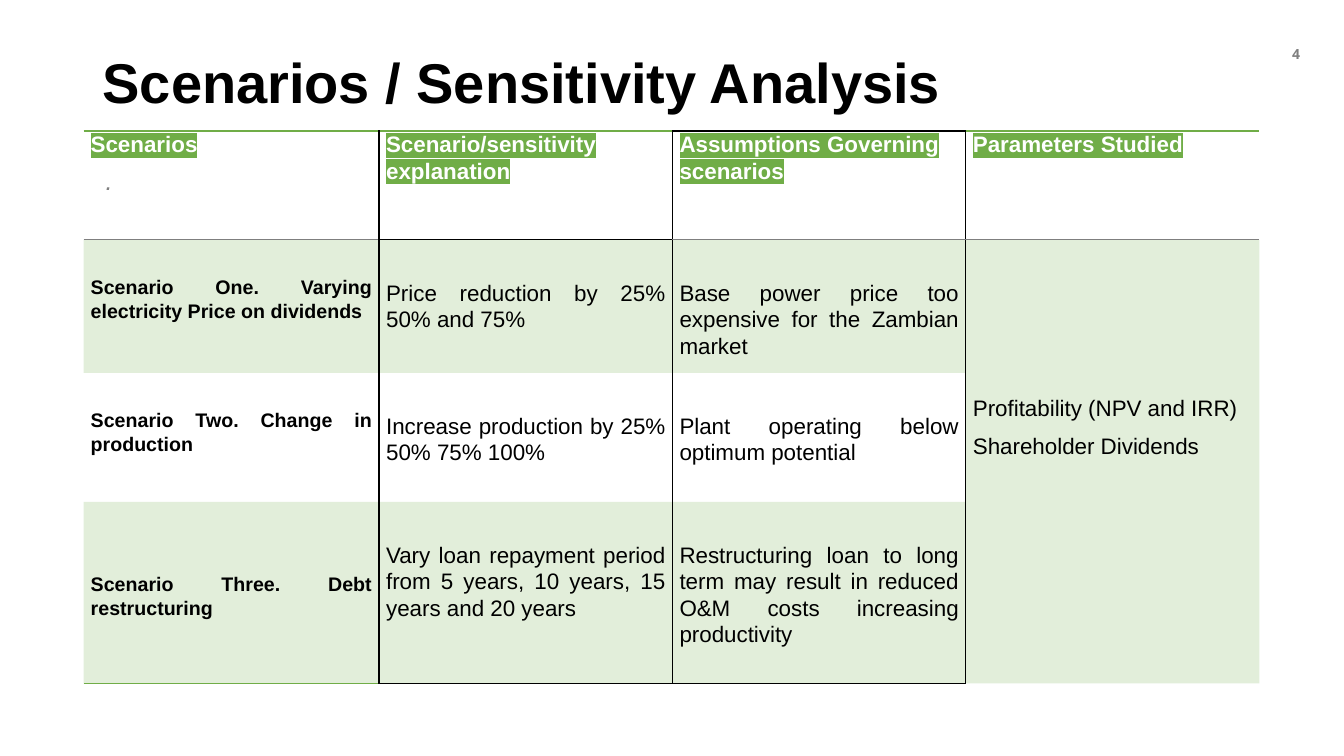
"""Build the scenario and sensitivity analysis slide."""
from dataclasses import dataclass

from lxml import etree
from pptx import Presentation
from pptx import util as u
from pptx.dml.color import RGBColor
from pptx.enum import text
from pptx.oxml import ns

BLACK = RGBColor(0x00, 0x00, 0x00)
WHITE = RGBColor(0xFF, 0xFF, 0xFF)
GREY = RGBColor(0x7F, 0x7F, 0x7F)
GREEN = RGBColor(0x70, 0xAD, 0x47)
PLAIN_TABLE_STYLE = "{2D5ABB26-0587-4C30-8999-92F81FD0307C}"
COLUMN_WIDTHS = (2.93, 2.91, 2.91, 2.91)
ROW_HEIGHTS = (1.08, 1.32, 1.28, 1.8)
TOP_EDGE = (GREEN, GREEN, BLACK, GREEN)
HEADER_EDGE = (GREY, BLACK, GREY, GREY)
BOTTOM_EDGE = (GREEN, BLACK, BLACK, GREEN)


@dataclass(frozen=True)
class Style:
    size: float
    color: RGBColor = BLACK
    bold: bool = False
    italic: bool = False
    face: str = "Arial"
    align: text.PP_ALIGN = text.PP_ALIGN.LEFT
    spacing: float = 1.0
    after: float = 0


@dataclass(frozen=True)
class Label:
    words: str
    left: float
    top: float
    width: float
    height: float
    style: Style
    anchor: text.MSO_ANCHOR = text.MSO_ANCHOR.TOP


@dataclass(frozen=True)
class Entry:
    lines: tuple[str, ...]
    style: Style
    drop: float = 0
    highlighted: bool = False


LABELS = (
    Label("4", 12.62, 0.4, 0.47, 0.4,
          Style(10, GREY, bold=True, face="Open Sans", align=text.PP_ALIGN.CENTER)),
    Label("Scenarios / Sensitivity Analysis", 0.92, 0.4, 11.5, 0.9,
          Style(40, bold=True, spacing=0.9), text.MSO_ANCHOR.MIDDLE),
    Label(".", 0.95, 1.62, 11.38, 0.5, Style(18, GREY, italic=True, spacing=0.9)),
)
HEADING = Style(16, WHITE, bold=True, spacing=1.07, after=8)
SCENARIO = Style(14, bold=True, align=text.PP_ALIGN.JUSTIFY, spacing=1.07, after=8)
DETAIL = Style(16, align=text.PP_ALIGN.JUSTIFY, spacing=1.07, after=8)


def heading(words: str) -> Entry:
    return Entry((words,), HEADING, highlighted=True)


def scenario(words: str, drop: float = 0.35) -> Entry:
    return Entry((words,), SCENARIO, drop)


def detail(*lines: str, drop: float = 0.39) -> Entry:
    return Entry(lines, DETAIL, drop)


ENTRIES = (
    (heading("Scenarios"), heading("Scenario/sensitivity explanation"),
     heading("Assumptions Governing scenarios"), heading("Parameters Studied")),
    (scenario("Scenario One. Varying electricity Price on dividends"),
     detail("Price reduction by 25% 50% and 75%"),
     detail("Base power price too expensive for the Zambian market"),
     detail("Profitability (NPV and IRR)", "Shareholder Dividends", drop=1.54)),
    (scenario("Scenario Two. Change in production"),
     detail("Increase production by 25% 50% 75% 100%"),
     detail("Plant operating below optimum potential")),
    (scenario("Scenario Three. Debt restructuring", drop=0.7),
     detail("Vary loan repayment period from 5 years, 10 years, 15 years and 20 years"),
     detail("Restructuring loan to long term may result in reduced O&M costs "
            "increasing productivity")),
)


def add_color(parent, tag: str, color: RGBColor):
    holder = etree.SubElement(parent, ns.qn(tag))
    return etree.SubElement(holder, ns.qn("a:srgbClr"), val=str(color))


def write(para, words: str, style: Style):
    span = para.add_run()
    span.text = words
    para.alignment = style.align
    para.line_spacing = style.spacing
    para.space_after = u.Pt(style.after)
    font = para.font
    font.name, font.size = style.face, u.Pt(style.size)
    font.bold, font.italic = style.bold, style.italic
    font.color.rgb = style.color
    return span


def add_label(page, label: Label) -> None:
    box = page.shapes.add_textbox(u.Inches(label.left), u.Inches(label.top),
                                  u.Inches(label.width), u.Inches(label.height))
    frame = box.text_frame
    frame.word_wrap = True
    frame.vertical_anchor = label.anchor
    write(frame.paragraphs[0], label.words, label.style)


def fill_entry(cell, entry: Entry) -> None:
    cell.margin_top = u.Inches(entry.drop)
    frame = cell.text_frame
    for number, line in enumerate(entry.lines):
        para = frame.add_paragraph() if number else frame.paragraphs[0]
        span = write(para, line, entry.style)
        if entry.highlighted:
            add_color(span.font._element if hasattr(span.font, "_element")
                      else span._r.get_or_add_rPr(), "a:highlight", GREEN)


def set_borders(cell, row: int, column: int) -> None:
    last_row, last_column = len(ROW_HEIGHTS) - 1, len(COLUMN_WIDTHS) - 1
    edges = {
        "a:lnL": BLACK if column else None,
        "a:lnR": BLACK if column < last_column else None,
        "a:lnT": {0: TOP_EDGE, 1: HEADER_EDGE}.get(row),
        "a:lnB": {0: HEADER_EDGE, last_row: BOTTOM_EDGE}.get(row),
    }
    properties = cell._tc.get_or_add_tcPr()
    for tag, edge in edges.items():
        color = edge[column] if edge in (TOP_EDGE, HEADER_EDGE, BOTTOM_EDGE) else edge
        line = etree.SubElement(properties, ns.qn(tag), w=str(u.Pt(1)))
        if color is None:
            etree.SubElement(line, ns.qn("a:noFill"))
        else:
            add_color(line, "a:solidFill", color)


def set_fill(cell, tinted: bool) -> None:
    if not tinted:
        cell.fill.background()
        return
    cell.fill.solid()
    cell.fill.fore_color.rgb = GREEN
    color = cell._tc.tcPr.find(".//" + ns.qn("a:solidFill") + "[last()]/..")
    color = cell._tc.tcPr.find(ns.qn("a:solidFill") + "/" + ns.qn("a:srgbClr"))
    etree.SubElement(color, ns.qn("a:alpha"), val="20000")


def add_scenario_table(page) -> None:
    frame = page.shapes.add_table(
        len(ROW_HEIGHTS), len(COLUMN_WIDTHS), u.Inches(0.83), u.Inches(1.3),
        u.Inches(sum(COLUMN_WIDTHS)), u.Inches(sum(ROW_HEIGHTS)))
    table = frame.table
    table._tbl.tblPr.find(ns.qn("a:tableStyleId")).text = PLAIN_TABLE_STYLE
    for column, width in zip(table.columns, COLUMN_WIDTHS):
        column.width = u.Inches(width)
    for row, height in enumerate(ROW_HEIGHTS):
        table.rows[row].height = u.Inches(height)
        for column in range(len(COLUMN_WIDTHS)):
            cell = table.cell(row, column)
            cell.margin_left = cell.margin_right = u.Inches(0.07)
            cell.margin_top = cell.margin_bottom = 0
            set_borders(cell, row, column)
            set_fill(cell, row in (1, 3))
        for column, entry in enumerate(ENTRIES[row]):
            fill_entry(table.cell(row, column), entry)
    table.cell(1, 3).merge(table.cell(3, 3))


def main() -> None:
    deck = Presentation()
    deck.slide_width, deck.slide_height = u.Inches(13.33), u.Inches(7.5)
    page = deck.slides.add_slide(deck.slide_layouts[6])
    for label in LABELS:
        add_label(page, label)
    add_scenario_table(page)
    deck.save("out.pptx")


if __name__ == "__main__":
    main()
